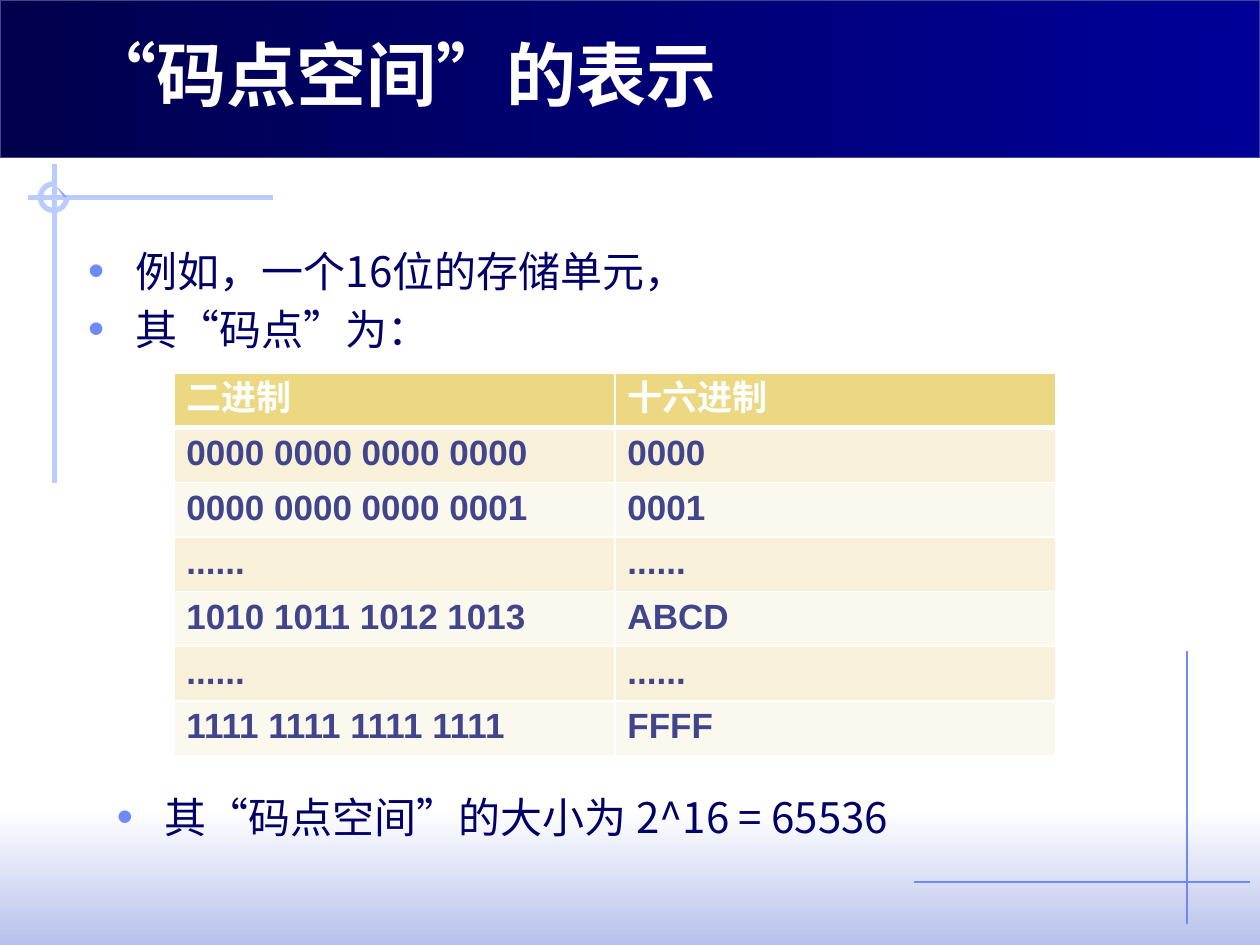
from lxml import etree
from pptx import Presentation
from pptx.dml.color import RGBColor
from pptx.enum.shapes import MSO_CONNECTOR, MSO_SHAPE
from pptx.enum.text import MSO_ANCHOR, PP_ALIGN
from pptx.oxml.ns import qn
from pptx.util import Inches, Pt

STRAIGHT = MSO_CONNECTOR.STRAIGHT
RECTANGLE = MSO_SHAPE.RECTANGLE
ARC = MSO_SHAPE.ARC
MIDDLE = MSO_ANCHOR.MIDDLE
LEFT = PP_ALIGN.LEFT

COLORS = {
    "white": "FFFFFF",
    "mist": "B7C1EB",
    "pale": "CFDBFD",
    "soft": "BBCBFD",
    "blue": "6F89F7",
    "night": "00004D",
    "navy": "000099",
    "text": "000066",
    "slate": "40458C",
    "header": "ECD882",
    "sand": "F8F0D8",
    "cream": "FBF8ED",
}
TITLE_FONT = "Noto Sans CJK JP"
BODY_FONT = "Noto Sans CJK SC"
TABLE_FONT = "Arial"

CODE_POINTS = [
    ("二进制", "十六进制"),
    ("0000 0000 0000 0000", "0000"),
    ("0000 0000 0000 0001", "0001"),
    ("......", "......"),
    ("1010 1011 1012 1013", "ABCD"),
    ("......", "......"),
    ("1111 1111 1111 1111", "FFFF"),
]


def rgb(name):
    return RGBColor.from_string(COLORS[name])


class SlideBuilder:
    def __init__(self, deck):
        self.page = deck.slides.add_slide(deck.slide_layouts[5])
        self.shapes = self.page.shapes

    def add_span(self, para, text, font, size, color, bold=False):
        span = para.add_run()
        span.text = text
        span.font.name = font
        span.font.size = Pt(size)
        span.font.bold = bold
        span.font.color.rgb = rgb(color)
        east_asian = etree.SubElement(span.font._element, qn("a:ea"))
        east_asian.set("typeface", font)

    def fill_gradient(self, shape, start, end, angle):
        shape.shadow.inherit = False
        shape.fill.gradient()
        shape.fill.gradient_angle = angle
        for stop, color in zip(shape.fill.gradient_stops, (start, end)):
            stop.color.rgb = rgb(color)

    def set_line(self, shape, color, width):
        shape.line.color.rgb = rgb(color)
        shape.line.width = Pt(width)

    def band(self, top, height, start, end, angle, outline=None):
        box = self.shapes.add_shape(RECTANGLE, 0, Inches(top), Inches(10), Inches(height))
        self.fill_gradient(box, start, end, angle)
        if outline:
            self.set_line(box, outline, 0.75)
        else:
            box.line.fill.background()

    def line(self, start, end, color, width):
        points = [Inches(value) for value in (*start, *end)]
        connector = self.shapes.add_connector(STRAIGHT, *points)
        self.set_line(connector, color, width)
        etree.SubElement(connector._element.spPr, qn("a:effectLst"))

    def ring(self, left, top, size):
        arc = self.shapes.add_shape(ARC, Inches(left), Inches(top), Inches(size), Inches(size))
        arc.adjustments[0] = 0
        arc.adjustments[1] = 162
        arc.shadow.inherit = False
        arc.fill.background()
        self.set_line(arc, "soft", 3)

    def wedge(self, points):
        corners = [(Inches(x), Inches(y)) for x, y in points]
        builder = self.shapes.build_freeform(*corners[0])
        builder.add_line_segments(corners[1:], close=True)
        shape = builder.convert_to_shape()
        self.fill_gradient(shape, "pale", "blue", 0)
        shape.line.fill.background()

    def title(self, text, left, top, width, height):
        box = self.shapes.title
        self.shapes._spTree.append(box._element)
        box.left, box.top = Inches(left), Inches(top)
        box.width, box.height = Inches(width), Inches(height)
        frame = box.text_frame
        frame.vertical_anchor = MIDDLE
        frame.word_wrap = True
        para = frame.paragraphs[0]
        para.alignment = LEFT
        self.add_span(para, text, TITLE_FONT, 40, "white", True)

    def bullets(self, texts, left, top, width, height):
        box = self.shapes.add_textbox(Inches(left), Inches(top), Inches(width), Inches(height))
        frame = box.text_frame
        frame.word_wrap = True
        frame.margin_top = Inches(0.1)
        for index, text in enumerate(texts):
            para = frame.add_paragraph() if index else frame.paragraphs[0]
            self.add_bullet(para)
            para.line_spacing = Pt(28)
            para.space_before = Pt(5 if index else 0)
            self.add_span(para, text, BODY_FONT, 24, "text")

    def add_bullet(self, para):
        properties = para._p.get_or_add_pPr()
        properties.set("marL", str(Inches(0.38)))
        properties.set("indent", str(Inches(-0.38)))
        bullet_color = etree.SubElement(properties, qn("a:buClr"))
        etree.SubElement(bullet_color, qn("a:srgbClr")).set("val", COLORS["blue"])
        etree.SubElement(properties, qn("a:buSzPct")).set("val", "110000")
        etree.SubElement(properties, qn("a:buFont")).set("typeface", "Arial")
        etree.SubElement(properties, qn("a:buChar")).set("char", "•")

    def add_borders(self, cell, widths):
        properties = cell._tc.get_or_add_tcPr()
        for side, width in widths.items():
            border = etree.SubElement(properties, qn(f"a:ln{side}"))
            border.set("w", str(Pt(width)))
            fill = etree.SubElement(border, qn("a:solidFill"))
            etree.SubElement(fill, qn("a:srgbClr")).set("val", COLORS["white"])

    def table(self, rows, left, top, column_width, row_height):
        count = len(rows[0])
        frame = self.shapes.add_table(
            len(rows), count, Inches(left), Inches(top),
            Inches(column_width * count), Inches(row_height * len(rows)))
        grid = frame.table
        for column in grid.columns:
            column.width = Inches(column_width)
        for index, values in enumerate(rows):
            grid.rows[index].height = Inches(row_height)
            stripe = "sand" if index % 2 else "cream"
            fill, color = (stripe, "slate") if index else ("header", "white")
            widths = {"L": 1, "R": 1, "T": 3 if index == 1 else 1, "B": 1 if index else 3}
            for cell, text in zip(grid.rows[index].cells, values):
                self.add_borders(cell, widths)
                cell.fill.solid()
                cell.fill.fore_color.rgb = rgb(fill)
                para = cell.text_frame.paragraphs[0]
                self.add_span(para, text, TABLE_FONT, 20, color, True)


def main():
    deck = Presentation()
    deck.slide_width, deck.slide_height = Inches(10), Inches(7.5)
    slide = SlideBuilder(deck)

    slide.band(6.42, 1.08, "white", "mist", 270)
    slide.line((9.42, 5.17), (9.42, 7.33), "blue", 0.75)
    slide.line((2.17, 1.57), (0.22, 1.57), "soft", 3)
    slide.line((0.43, 1.3), (0.43, 3.83), "soft", 3)
    slide.wedge([(0.53, 1.57), (0.54, 1.6), (0.43, 1.46)])
    slide.ring(0.32, 1.46, 0.21)
    slide.band(0, 1.25, "night", "navy", 0, "slate")
    slide.line((7.25, 7), (9.92, 7), "blue", 0.75)

    slide.title("“码点空间”的表示", 0.59, 0.28, 9, 0.61)
    slide.bullets(["例如，一个16位的存储单元，", "其“码点”为："], 0.6, 1.86, 8.68, 1)
    slide.table(CODE_POINTS, 1.38, 2.96, 3.5, 0.42)
    slide.bullets(["其“码点空间”的大小为 2^16 = 65536"], 0.83, 6.19, 8.68, 1)

    deck.save("out.pptx")


if __name__ == "__main__":
    main()
